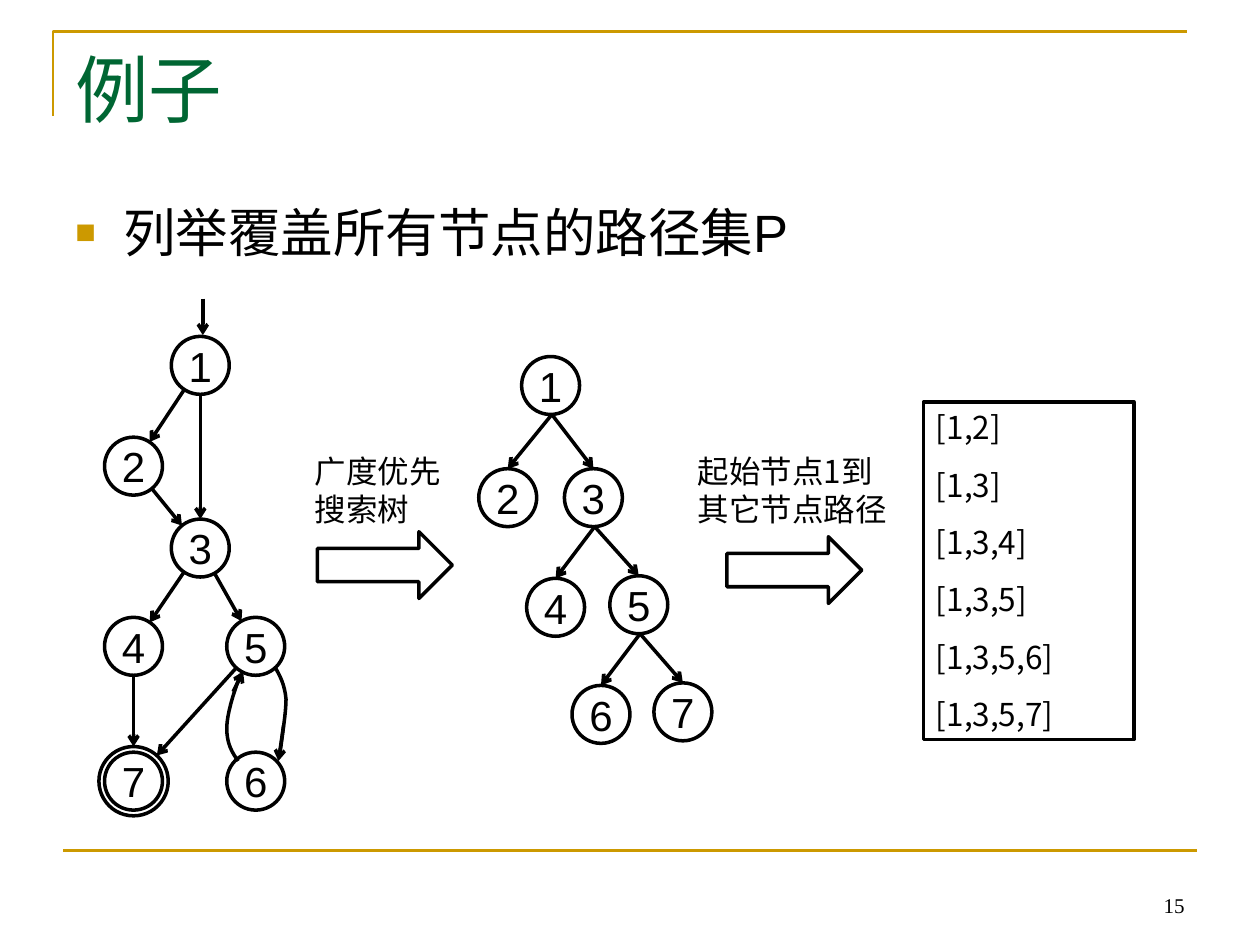
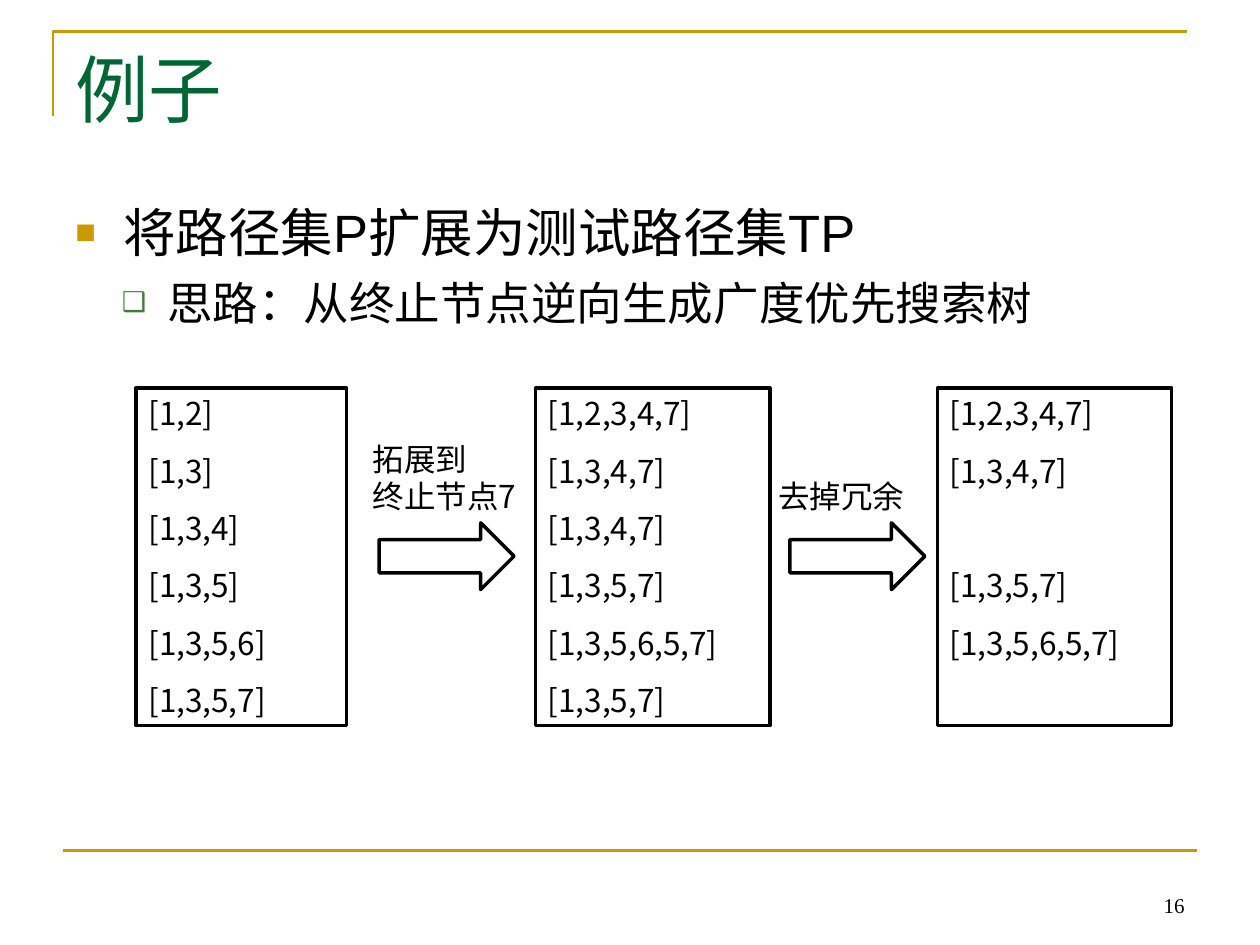
"""Build two slides on deriving test paths from a breadth-first search tree."""
from dataclasses import dataclass
from math import hypot

from lxml import etree
from pptx import Presentation, util as u
from pptx.dml.color import RGBColor
from pptx.enum import shapes, text
from pptx.oxml.ns import qn


@dataclass(frozen=True)
class Theme:
    gold: str = "CC9900"
    green: str = "006633"
    leaf: str = "3B812F"
    ink: str = "000000"
    paper: str = "FFFFFF"
    serif: str = "Times New Roman"
    sans: str = "Arial"
    cjk: str = "Noto Sans CJK SC"
    title: int = 42
    label: int = 18
    node: int = 24
    number: int = 12
    rule: float = 1.5
    stroke: float = 2
    leading: float = 1.2
    row_gap: float = 11.2


T = Theme()
WIDTH, HEIGHT = 10, 7.5
RADIUS, RING = 0.23, 0.275
BOX_HEIGHT = 2.68
BULLETS = [
    dict(char="■", tint=T.gold, percent=65, size=30, margin=0.38, hang=0.38, before=7.5),
    dict(char="❑", tint=T.leaf, percent=60, size=26, margin=0.73, hang=0.36, before=6.5),
]

PATHS = ["[1,2]", "[1,3]", "[1,3,4]", "[1,3,5]", "[1,3,5,6]", "[1,3,5,7]"]
EXTENDED = ["[1,2,3,4,7]", "[1,3,4,7]", "[1,3,4,7]", "[1,3,5,7]", "[1,3,5,6,5,7]", "[1,3,5,7]"]
REDUCED = ["[1,2,3,4,7]", "[1,3,4,7]", None, "[1,3,5,7]", "[1,3,5,6,5,7]"]

GRAPH = {
    1: (1.59, 2.9), 2: (1.06, 3.7), 3: (1.59, 4.35), 4: (1.06, 5.13),
    5: (2.03, 5.13), 6: (2.03, 6.2), 7: (1.06, 6.2),
}
GRAPH_EDGES = [(1, 2), (1, 3), (2, 3), (3, 4), (3, 5), (4, 7), (5, 7)]
FINAL_NODE = 7
ENTRY = ((1.61, 2.37), (1.61, 2.66))
LOOP_CURVES = [
    [(2.18, 5.29), (2.22, 5.36), (2.26, 5.43), (2.27, 5.55),
     (2.27, 5.66), (2.24, 5.83), (2.22, 6)],
    [(1.89, 6.04), (1.84, 5.97), (1.8, 5.9), (1.8, 5.78),
     (1.8, 5.67), (1.85, 5.51), (1.91, 5.35)],
]
LOOP_TIPS = [((2.25, 5.76), (2.21, 6.04)), ((1.85, 5.49), (1.93, 5.33))]

TREE = {
    1: (4.37, 3.06), 2: (4.03, 3.95), 3: (4.71, 3.95), 4: (4.41, 4.82),
    5: (5.07, 4.8), 6: (4.77, 5.67), 7: (5.42, 5.65),
}
TREE_EDGES = [(1, 2), (1, 3), (3, 4), (3, 5), (5, 6), (5, 7)]

SLIDES = [
    dict(
        title="例子", number=15, bullets=["列举覆盖所有节点的路径集P"],
        steps=[((2.52, 4.22), (2.4, 3.54, 1.48), ["广度优先", "搜索树"]),
               ((5.77, 4.26), (5.44, 3.54, 1.82), ["起始节点1到其它节点路径"])],
        boxes=[(7.33, 3.19, 1.67, PATHS)], diagrams=True),
    dict(
        title="例子", number=16,
        bullets=["将路径集P扩展为测试路径集TP", "思路：从终止节点逆向生成广度优先搜索树"],
        steps=[((3.01, 4.15), (2.86, 3.44, 1.48), ["拓展到", "终止节点7"]),
               ((6.27, 4.15), (6.08, 3.74, 1.48), ["去掉冗余"])],
        boxes=[(1.08, 3.08, 1.67, PATHS), (4.25, 3.08, 1.86, EXTENDED),
               (7.44, 3.08, 1.86, REDUCED)], diagrams=False),
]


def color(value):
    return RGBColor.from_string(value)


def outline(part, tint=T.ink, width=T.stroke, fill=None):
    part.shadow.inherit = False
    if fill:
        part.fill.solid()
        part.fill.fore_color.rgb = color(fill)
    else:
        part.fill.background()
    part.line.color.rgb = color(tint)
    part.line.width = u.Pt(width)
    return part


def preset(slide, kind, left, top, width, height, fill=None):
    place = [u.Inches(v) for v in (left, top, width, height)]
    return outline(slide.shapes.add_shape(kind, *place), fill=fill)


def textbox(slide, left, top, width, height):
    return slide.shapes.add_textbox(*[u.Inches(v) for v in (left, top, width, height)])


def add_bullet(paragraph, style):
    props = paragraph._p.get_or_add_pPr()
    props.set("marL", str(u.Inches(style["margin"])))
    props.set("indent", str(-u.Inches(style["hang"])))
    tint = etree.SubElement(props, qn("a:buClr"))
    etree.SubElement(tint, qn("a:srgbClr"), val=style["tint"])
    etree.SubElement(props, qn("a:buSzPct"), val=str(style["percent"] * 1000))
    etree.SubElement(props, qn("a:buFont"), typeface=T.sans)
    etree.SubElement(props, qn("a:buChar"), char=style["char"])


def write(part, lines, size=T.label, font=T.cjk, tint=T.ink, align="LEFT", anchor="TOP",
          gap=0, wrap=True, inset=0.1, leading=True, bullets=()):
    """Fill a shape with paragraphs; None leaves a row free."""
    frame = part.text_frame
    frame.word_wrap = wrap
    frame.vertical_anchor = getattr(text.MSO_ANCHOR, anchor)
    frame.margin_left = frame.margin_right = u.Inches(inset)
    frame.margin_top = frame.margin_bottom = u.Inches(inset / 2)
    before = 0
    for index, line in enumerate(lines):
        if line is None:
            before += size * T.leading + gap
            continue
        style = bullets[index] if bullets else {}
        points = style.get("size", size)
        paragraph = frame.add_paragraph() if index else frame.paragraphs[0]
        paragraph.alignment = getattr(text.PP_ALIGN, align)
        if style:
            add_bullet(paragraph, style)
        if index:
            paragraph.space_before = u.Pt(before + style.get("before", gap))
        if leading:
            paragraph.line_spacing = u.Pt(points * T.leading)
        run = paragraph.add_run()
        run.text = line
        run.font.size = u.Pt(points)
        run.font.color.rgb = color(tint)
        run.font.name = font
        latin = run._r.rPr.find(qn("a:latin"))
        latin.addnext(latin.makeelement(qn("a:ea"), {"typeface": T.cjk}))
        before = 0


def connect(slide, start, end, tint=T.ink, width=T.stroke, arrow=True):
    ends = [u.Inches(v) for v in (*start, *end)]
    edge = slide.shapes.add_connector(shapes.MSO_CONNECTOR.STRAIGHT, *ends)
    edge.line.color.rgb = color(tint)
    edge.line.width = u.Pt(width)
    if arrow:
        etree.SubElement(edge.line._get_or_add_ln(), qn("a:tailEnd"), type="arrow")
    etree.SubElement(edge._element.spPr, qn("a:effectLst"))


def polyline(slide, points, **style):
    start, *rest = [(u.Inches(x), u.Inches(y)) for x, y in points]
    builder = slide.shapes.build_freeform(*start)
    builder.add_line_segments(rest, close=False)
    outline(builder.convert_to_shape(), **style)


def curve(slide, controls, steps=8):
    points = [controls[0]]
    for first in range(0, len(controls) - 1, 3):
        a, b, c, d = controls[first:first + 4]
        for step in range(1, steps + 1):
            t = step / steps
            s = 1 - t
            points.append(tuple(
                s**3 * p + 3 * s * s * t * q + 3 * s * t * t * r + t**3 * e
                for p, q, r, e in zip(a, b, c, d)))
    polyline(slide, points)


def circle(slide, center, radius):
    x, y = center
    return preset(slide, shapes.MSO_SHAPE.OVAL, x - radius, y - radius, 2 * radius, 2 * radius)


def draw_nodes(slide, nodes):
    for label, center in nodes.items():
        write(circle(slide, center, RADIUS), [str(label)], size=T.node, font=T.sans,
              align="CENTER", anchor="MIDDLE", wrap=False, inset=0, leading=False)


def draw_graph(slide):
    draw_nodes(slide, GRAPH)
    circle(slide, GRAPH[FINAL_NODE], RING)
    for source, target in GRAPH_EDGES:
        (x1, y1), (x2, y2) = GRAPH[source], GRAPH[target]
        length = hypot(x2 - x1, y2 - y1)
        dx, dy = (x2 - x1) / length, (y2 - y1) / length
        reach = RING if target == FINAL_NODE else RADIUS
        connect(slide, (x1 + dx * RADIUS, y1 + dy * RADIUS), (x2 - dx * reach, y2 - dy * reach))
    for controls in LOOP_CURVES:
        curve(slide, controls)
    for start, end in [ENTRY, *LOOP_TIPS]:
        connect(slide, start, end)


def draw_tree(slide):
    draw_nodes(slide, TREE)
    for source, target in TREE_EDGES:
        (x1, y1), (x2, y2) = TREE[source], TREE[target]
        connect(slide, (x1 + 0.01, y1 + RADIUS), (x2, y2 - RADIUS))


def draw_frame(slide, title, number):
    polyline(slide, [(0.42, 0.92), (0.42, 0.25), (9.42, 0.25)], tint=T.gold, width=T.rule)
    floor = 0.9 * HEIGHT
    connect(slide, (0.5, floor), (WIDTH - 0.5, floor), tint=T.gold, width=T.rule, arrow=False)
    write(textbox(slide, 0.5, 0.3, 9, 1.25), [title], size=T.title, font=T.serif, tint=T.green)
    write(textbox(slide, 7.17, 6.83, 2.33, 0.5), [str(number)], size=T.number, font=T.serif,
          align="RIGHT", anchor="BOTTOM", leading=False)


def draw_slide(slide, content):
    draw_frame(slide, content["title"], content["number"])
    write(textbox(slide, 0.5, 1.54, 9, 4.95), content["bullets"], font=T.sans, bullets=BULLETS)
    for left, top, width, rows in content["boxes"]:
        box = preset(slide, shapes.MSO_SHAPE.RECTANGLE, left, top, width, BOX_HEIGHT, T.paper)
        write(box, rows, gap=T.row_gap)
    for (x, y), (left, top, width), lines in content["steps"]:
        preset(slide, shapes.MSO_SHAPE.RIGHT_ARROW, x, y, 1.07, 0.53, T.paper)
        write(textbox(slide, left, top, width, 0.1 + 0.3 * len(lines)), lines)
    if content["diagrams"]:
        draw_graph(slide)
        draw_tree(slide)


def main():
    deck = Presentation()
    deck.slide_width, deck.slide_height = u.Inches(WIDTH), u.Inches(HEIGHT)
    for content in SLIDES:
        draw_slide(deck.slides.add_slide(deck.slide_layouts[6]), content)
    deck.save("out.pptx")


if __name__ == "__main__":
    main()
